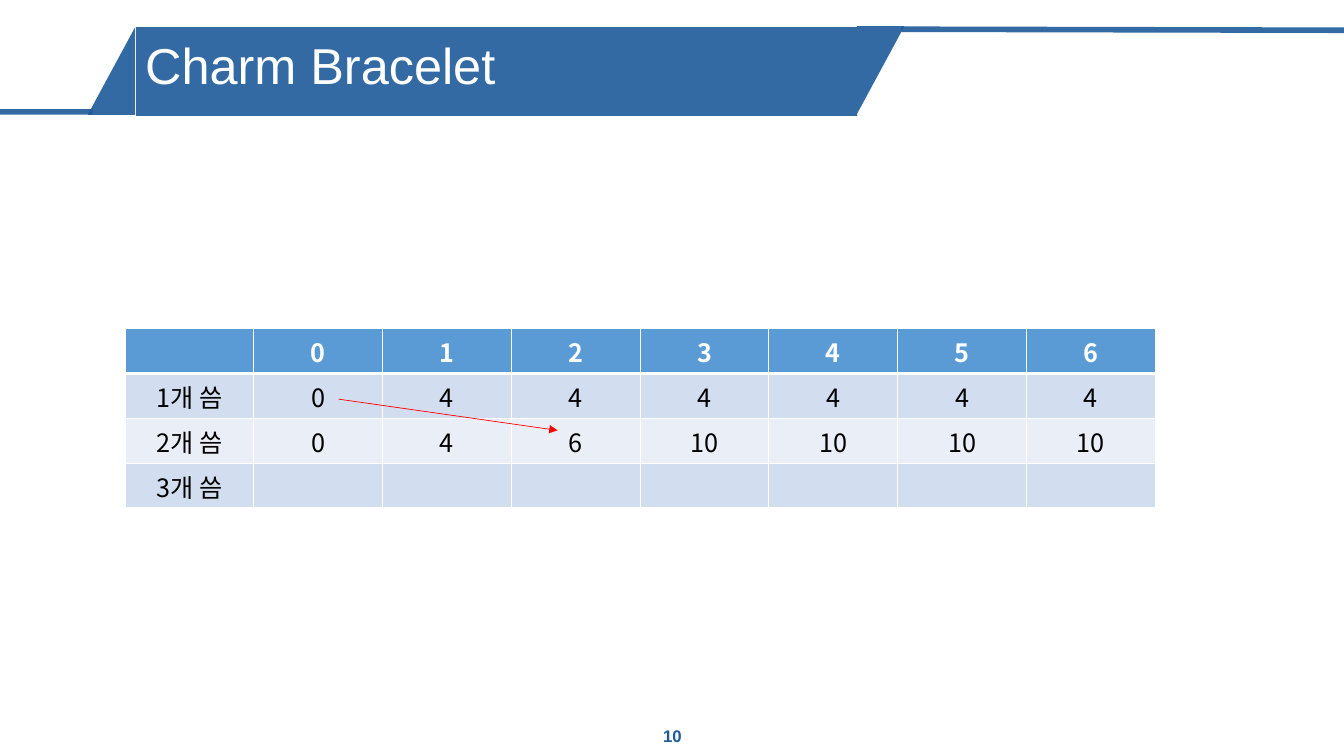
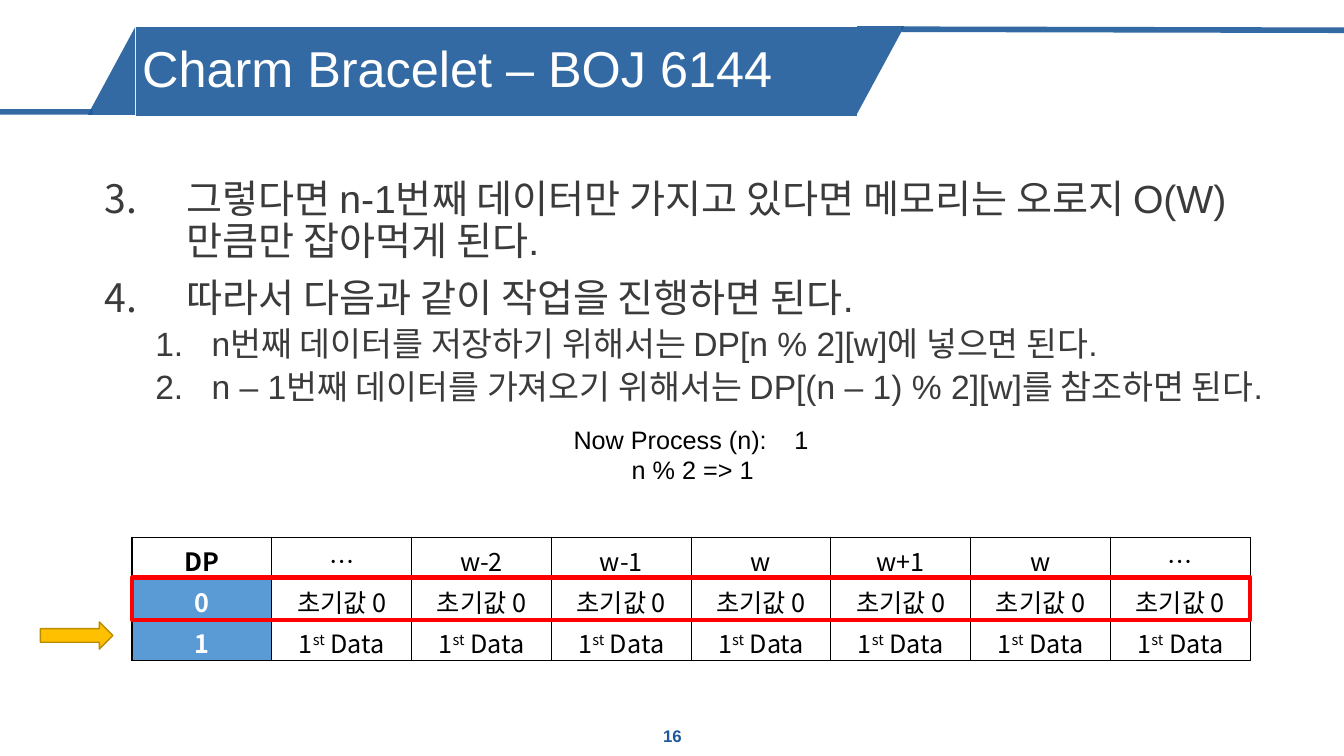
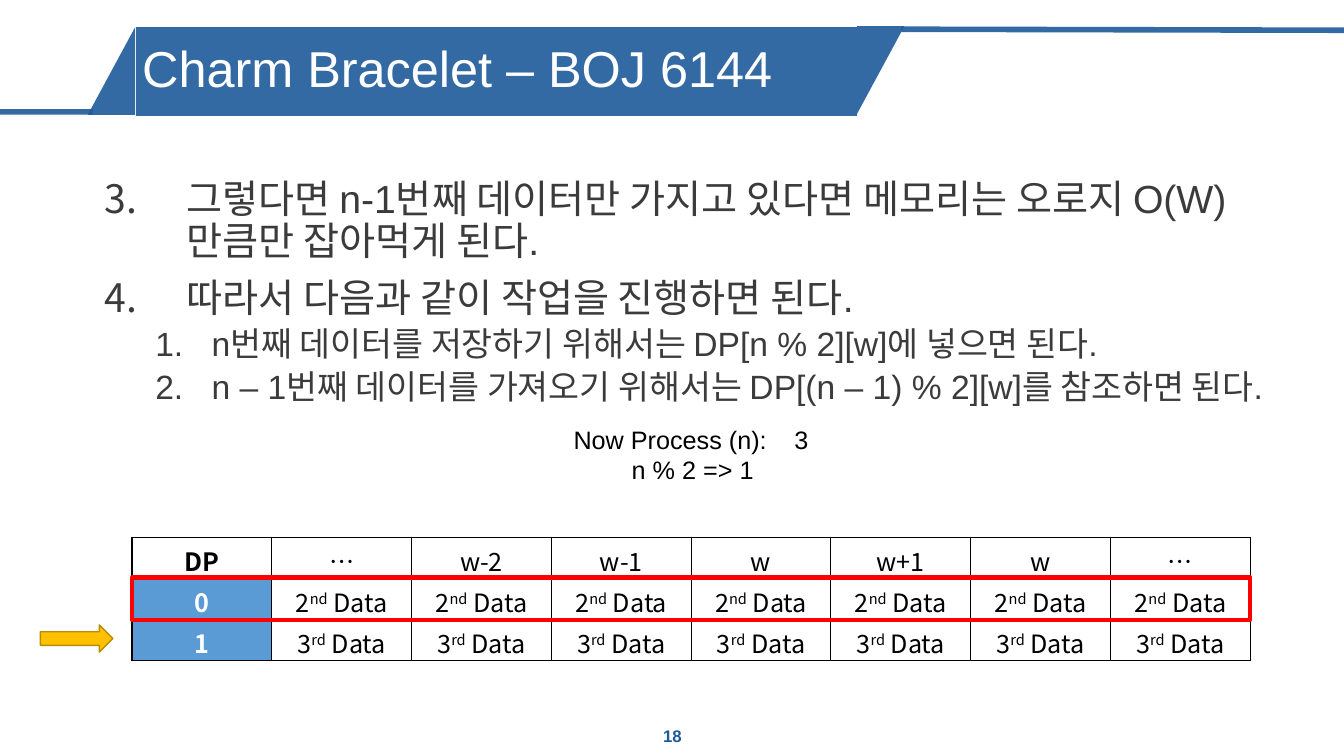
from dataclasses import dataclass

import pptx
import pptx.dml.color
import pptx.enum.shapes
import pptx.enum.text
import pptx.oxml
import pptx.oxml.ns
import pptx.util
from lxml import etree

Inches, Pt = pptx.util.Inches, pptx.util.Pt
qn = pptx.oxml.ns.qn
KIND = pptx.enum.shapes.MSO_SHAPE
ALIGN = pptx.enum.text.PP_ALIGN
ANCHOR = pptx.enum.text.MSO_ANCHOR


@dataclass(frozen=True)
class Theme:
    band: str = "1E5A9B"
    head: str = "5B9BD5"
    dark: str = "D2DEEF"
    light: str = "EAEFF7"
    white: str = "FFFFFF"
    black: str = "000000"
    gray: str = "3B3B3B"
    red: str = "FF0000"
    gold: str = "FFC000"
    rim: str = "BA8C00"
    latin: str = "Arial"
    hangul: str = "Noto Sans CJK KR"
    title: int = 36
    body: tuple = (28, 24)
    text: int = 18
    foot: int = 12


T = Theme()

FIRST = {
    "title": "Charm Bracelet",
    "page": "10",
    "rows": [
        ["", "0", "1", "2", "3", "4", "5", "6"],
        ["1개 씀", "0", "4", "4", "4", "4", "4", "4"],
        ["2개 씀", "0", "4", "6", "10", "10", "10", "10"],
        ["3개 씀"] + [""] * 7,
    ],
}
TITLE = "Charm Bracelet – BOJ 6144"
STEPS = [
    (0, "그렇다면 n-1번째 데이터만 가지고 있다면 메모리는 오로지 O(W)만큼만 잡아먹게 된다."),
    (0, "따라서 다음과 같이 작업을 진행하면 된다."),
    (1, "n번째 데이터를 저장하기 위해서는 DP[n % 2][w]에 넣으면 된다."),
    (1, "n – 1번째 데이터를 가져오기 위해서는 DP[(n – 1) % 2][w]를 참조하면 된다."),
]
HEADS = ["DP", "…", "w-2", "w-1", "w", "w+1", "w", "…"]
# A cell given as a tuple holds a number, its raised ending and the rest.
STATES = [
    {"page": "16", "now": "1", "arrow": 6.17,
     "data": ["초기값 0", ("1", "st", " Data")]},
    {"page": "18", "now": "3", "arrow": 6.2,
     "data": [("2", "nd", " Data"), ("3", "rd", " Data")]},
]
# Left indent, hanging indent, space before, number font, first number
LEVELS = [(0.81, -0.81, 10, T.hangul, 3), (1.06, -0.56, 5, T.latin, 1)]


def rgb(code):
    return pptx.dml.color.RGBColor.from_string(code)


def sub(node, tag, **attrs):
    return etree.SubElement(node, qn(tag), attrs)


def fade(shape):
    """Make every solid colour of the shape 90% opaque."""
    for clr in shape._element.spPr.iter(qn("a:srgbClr")):
        sub(clr, "a:alpha", val="90000")


def write(para, text, size, color, bold=False, face=T.latin, base=0):
    run = para.add_run()
    run.text = text
    font = run.font
    font.size, font.bold, font.name = Pt(size), bold, face
    font.color.rgb = rgb(color)
    props = run._r.get_or_add_rPr()
    sub(props, "a:ea", typeface=T.hangul)
    if base:
        props.set("baseline", str(base * 1000))


def place(shape, *box):
    shape.left, shape.top, shape.width, shape.height = map(Inches, box)


def shape(slide, kind, box, fill=None, line=None, width=1, turn=0):
    item = slide.shapes.add_shape(kind, *map(Inches, box))
    item.shadow.inherit = False
    item.rotation = turn
    if fill:
        item.fill.solid()
        item.fill.fore_color.rgb = rgb(fill)
    else:
        item.fill.background()
    if line:
        item.line.color.rgb = rgb(line)
        item.line.width = Pt(width)
    else:
        item.line.fill.background()
    return item


def line(slide, ends, color, width, tip=False):
    item = slide.shapes.add_connector(
        pptx.enum.shapes.MSO_CONNECTOR.STRAIGHT, *map(Inches, ends))
    item.line.color.rgb = rgb(color)
    item.line.width = Pt(width)
    if tip:
        sub(item.line._get_or_add_ln(), "a:tailEnd", type="triangle")
    sub(item._element.spPr, "a:effectLst")
    return item


def brand(deck, slide):
    """Draw the title band, then move it to the master."""
    parts = [
        shape(slide, KIND.RIGHT_TRIANGLE, (8.3, 0.46, 0.87, 0.47), T.band, turn=90),
        line(slide, (0.92, 1.11, -0.03, 1.11), T.band, 4),
        shape(slide, KIND.RIGHT_TRIANGLE, (0.67, 0.47, 0.87, 0.47), T.band, turn=270),
        line(slide, (13.33, 0.3, 8.94, 0.29), T.band, 4),
        shape(slide, KIND.RECTANGLE, (1.35, 0.27, 7.15, 0.88), T.band),
    ]
    for part in parts:
        fade(part)
        deck.slide_master.shapes._spTree.append(part._element)


def label(slide, box):
    frame = slide.shapes.add_textbox(*map(Inches, box)).text_frame
    frame.word_wrap = True
    return frame


def start(slide, title, page, left, top):
    """Set the title and the page number."""
    head = slide.shapes.title
    place(head, left, top, 7.15, 0.81)
    frame = head.text_frame
    frame.vertical_anchor = ANCHOR.MIDDLE
    frame.auto_size = pptx.enum.text.MSO_AUTO_SIZE.NONE
    para = frame.paragraphs[0]
    para.alignment, para.line_spacing = ALIGN.LEFT, 0.9
    write(para, title, T.title, T.white)
    foot = label(slide, (5.17, 7.1, 3, 0.4))
    foot.vertical_anchor = ANCHOR.MIDDLE
    foot.paragraphs[0].alignment = ALIGN.CENTER
    write(foot.paragraphs[0], page, T.foot, T.band, True)


def edge(cell, color, widths):
    props = cell._tc.get_or_add_tcPr()
    for side, width in zip("LRTB", widths):
        ln = sub(props, "a:ln" + side, w=str(Pt(width)))
        sub(sub(ln, "a:solidFill"), "a:srgbClr", val=color)


def grid(slide, box, rows, look):
    """Add a table; look(row, col) gives fill, text colour, bold, edge colour and widths."""
    table = slide.shapes.add_table(
        len(rows), len(rows[0]), *map(Inches, box)).table
    table.first_row = table.horz_banding = False
    for r, row in enumerate(rows):
        for c, text in enumerate(row):
            cell = table.cell(r, c)
            fill, color, bold, rule, widths = look(r, c)
            edge(cell, rule, widths)
            if fill:
                cell.fill.solid()
                cell.fill.fore_color.rgb = rgb(fill)
            else:
                cell.fill.background()
            para = cell.text_frame.paragraphs[0]
            para.alignment = ALIGN.CENTER
            runs = text if isinstance(text, tuple) else (text,)
            for i, part in enumerate(runs):
                if part:
                    write(para, part, T.text, color, bold, T.hangul,
                          30 if i == 1 else 0)


def banded(r, c):
    if r == 0:
        return T.head, T.white, True, T.white, (1, 1, 1, 3)
    top = 3 if r == 1 else 1
    return (T.dark if r % 2 else T.light), T.black, False, T.white, (1, 1, top, 1)


def ruled(r, c):
    key = r > 0 and c == 0
    return (T.head if key else None, T.white if key else T.black,
            c == 0, T.black, (1, 1, 1, 1))


def steps(slide):
    body = slide.placeholders[1]
    place(body, 0.94, 1.73, 11.62, 4.97)
    frame = body.text_frame
    frame.auto_size = pptx.enum.text.MSO_AUTO_SIZE.NONE
    for i, (level, text) in enumerate(STEPS):
        para = frame.add_paragraph() if i else frame.paragraphs[0]
        left, hang, gap, face, first = LEVELS[level]
        props = para._p.get_or_add_pPr()
        props.set("marL", str(Inches(left)))
        props.set("indent", str(Inches(hang)))
        sub(sub(props, "a:buClr"), "a:srgbClr", val=T.gray)
        sub(props, "a:buFont", typeface=face)
        sub(props, "a:buAutoNum", type="arabicPeriod", startAt=str(first))
        para.level, para.line_spacing = level, 0.9
        para.space_before = Pt(gap if i else 0)
        write(para, text, T.body[level], T.gray)


def status(slide, now):
    frame = label(slide, (5.59, 4.16, 2.56, 0.71))
    para = frame.paragraphs[0]
    tabs = sub(para._p.get_or_add_pPr(), "a:tabLst")
    sub(tabs, "a:tab", pos=str(Inches(2.19)), algn="l")
    write(para, "Now Process (n):\t" + now, T.text, T.black)
    para = frame.add_paragraph()
    para.alignment = ALIGN.CENTER
    write(para, "n % 2 => 1", T.text, T.black)


def main():
    deck = pptx.Presentation()
    deck.slide_width, deck.slide_height = Inches(13.33), Inches(7.5)

    slide = deck.slides.add_slide(deck.slide_layouts[5])
    brand(deck, slide)
    start(slide, FIRST["title"], FIRST["page"], 1.34, 0.27)
    grid(slide, (1.24, 3.26, 10.22, 1.78), FIRST["rows"], banded)
    line(slide, (3.36, 3.96, 5.53, 4.27), T.red, 0.5, tip=True)

    for state in STATES:
        slide = deck.slides.add_slide(deck.slide_layouts[1])
        start(slide, TITLE, state["page"], 1.31, 0.3)
        steps(slide)
        rows = [HEADS] + [[str(i)] + [cell] * 7
                          for i, cell in enumerate(state["data"])]
        grid(slide, (1.31, 5.33, 11.09, 1.22), rows, ruled)
        status(slide, state["now"])
        shape(slide, KIND.RIGHT_ARROW, (0.4, state["arrow"], 0.72, 0.27),
              T.gold, T.rim)
        shape(slide, KIND.RECTANGLE, (1.31, 5.73, 11.09, 0.42),
              line=T.red, width=3)

    deck.save("out.pptx")


if __name__ == "__main__":
    main()
